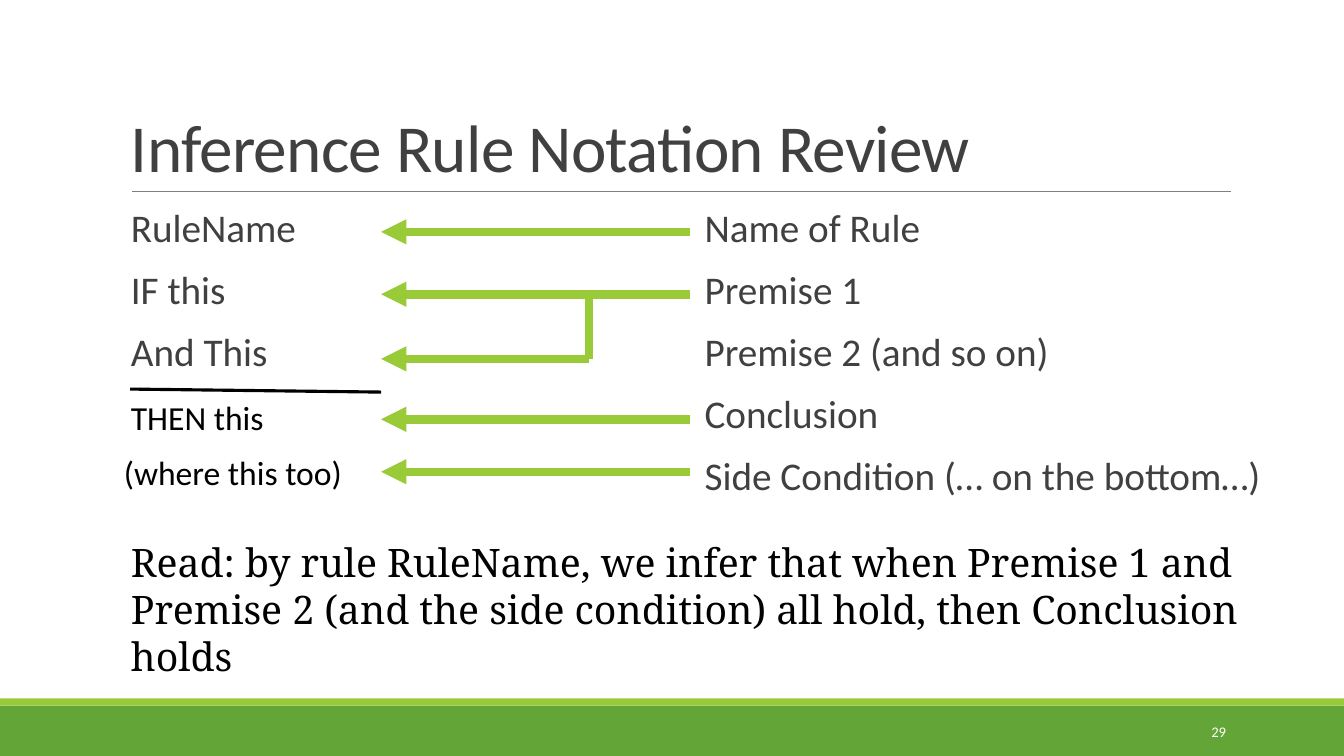
from lxml import etree
from pptx import Presentation
from pptx.dml.color import RGBColor
from pptx.enum.shapes import MSO_CONNECTOR, MSO_SHAPE
from pptx.enum.text import MSO_ANCHOR as Anchor, MSO_AUTO_SIZE as AutoSize, PP_ALIGN as Align
from pptx.oxml.ns import qn
from pptx.util import Inches, Pt

GREEN = RGBColor(0x63, 0xA5, 0x37)
LIME = RGBColor(0x99, 0xCB, 0x38)
GRAY = RGBColor(0x80, 0x80, 0x80)
DARK = RGBColor(0x40, 0x40, 0x40)
BLACK = RGBColor(0, 0, 0)
WHITE = RGBColor(0xFF, 0xFF, 0xFF)


def add_bar(slide, left, top, width, height, color):
    bar = slide.shapes.add_shape(
        MSO_SHAPE.RECTANGLE, Inches(left), Inches(top), Inches(width), Inches(height))
    bar.shadow.inherit = False
    bar.fill.solid()
    bar.fill.fore_color.rgb = color
    bar.line.fill.background()


def add_line(slide, start, end, color, weight, arrow=False):
    line = slide.shapes.add_connector(
        MSO_CONNECTOR.STRAIGHT, *[Inches(value) for value in (*start, *end)])
    line.line.color.rgb = color
    line.line.width = Pt(weight)
    properties = line.line._get_or_add_ln()
    if arrow:
        etree.SubElement(properties, qn("a:tailEnd"), type="triangle")
    etree.SubElement(properties.getparent(), qn("a:effectLst"))


def add_text(slide, box, lines, size, color, font="Calibri", wrap=True,
             anchor=Anchor.TOP, align=Align.LEFT, spacing=None, before=None,
             after=None, tracking=None, grow=False):
    shape = slide.shapes.add_textbox(*[Inches(value) for value in box])
    frame = shape.text_frame
    frame.word_wrap = wrap
    frame.vertical_anchor = anchor
    frame.auto_size = AutoSize.SHAPE_TO_FIT_TEXT if grow else AutoSize.NONE
    for index, text in enumerate(lines):
        paragraph = frame.add_paragraph() if index else frame.paragraphs[0]
        paragraph.alignment = align
        paragraph.line_spacing = spacing
        paragraph.space_before = before
        paragraph.space_after = after
        run = paragraph.add_run()
        run.text = text
        run.font.name = font
        run.font.size = Pt(size)
        run.font.color.rgb = color
        if tracking is not None:
            run.font._element.set("spc", str(tracking))
    return frame


def add_column(slide, left, top, width, height, lines):
    frame = add_text(slide, (left, top, width, height), lines, 28, DARK,
                     spacing=0.9, before=Pt(12), after=Pt(2))
    frame.margin_right = 0


def add_title(slide, left, top, width, height):
    bottom = top + height
    add_line(slide, (left + 0.11, bottom), (left + width + 0.01, bottom), GRAY, 0.5)
    add_text(slide, (left, top, width, height), ["Inference Rule Notation Review"],
             48, DARK, anchor=Anchor.BOTTOM, spacing=0.85, tracking=-50)


def add_rule(slide, left, top, width, height):
    add_column(slide, left, top, width, height, ["RuleName", "IF this", "And This"])
    add_line(slide, (left + 0.09, top + 1.84), (left + 2.58, top + 1.87), BLACK, 2.25)
    add_text(slide, (left, top + 1.87, 1.53, 0.5), ["THEN this"],
             24, BLACK, wrap=False, grow=True)
    add_text(slide, (left - 0.07, top + 2.41, 2.38, 0.5), ["(where this too)"],
             24, BLACK, wrap=False, grow=True)


def add_arrows(slide, left, top, width):
    right = left + width
    branch = right - 1
    name, first, second, conclusion, condition = [
        top + offset for offset in (0, 0.62, 1.26, 1.86, 2.38)]
    for start, y in ((right, name), (right, first), (branch, second),
                     (right, conclusion), (right, condition)):
        add_line(slide, (start, y), (left, y), LIME, 6, arrow=True)
    add_line(slide, (branch, second), (branch, first), LIME, 6)


def add_footer(slide, left, top, width, height):
    add_bar(slide, left, top, width, height, GREEN)
    add_bar(slide, left, top - 0.07, width, 0.07, LIME)
    add_text(slide, (left + 10.83, top + 0.06, 1.43, 0.4), ["29"], 10.5, WHITE,
             anchor=Anchor.MIDDLE, align=Align.RIGHT)


def main():
    presentation = Presentation()
    presentation.slide_width = Inches(13.33)
    presentation.slide_height = Inches(7.5)
    slide = presentation.slides.add_slide(presentation.slide_layouts[6])
    add_footer(slide, 0, 7, 13.33, 0.5)
    add_title(slide, 1.2, 0.31, 11, 1.59)
    add_rule(slide, 1.2, 2.02, 5.73, 3.19)
    add_arrows(slide, 3.78, 2.3, 3.06)
    add_column(slide, 6.89, 2.02, 5.73, 4.4, [
        "Name of Rule", "Premise 1", "Premise 2 (and so on)", "Conclusion",
        "Side Condition (… on the bottom…)"])
    add_text(slide, (1.2, 5.29, 11.62, 1.51), [
        "Read: by rule RuleName, we infer that when Premise 1 and Premise 2 "
        "(and the side condition) all hold, then Conclusion holds"],
        28, BLACK, font="Noto Serif", grow=True)
    presentation.save("out.pptx")


if __name__ == "__main__":
    main()
